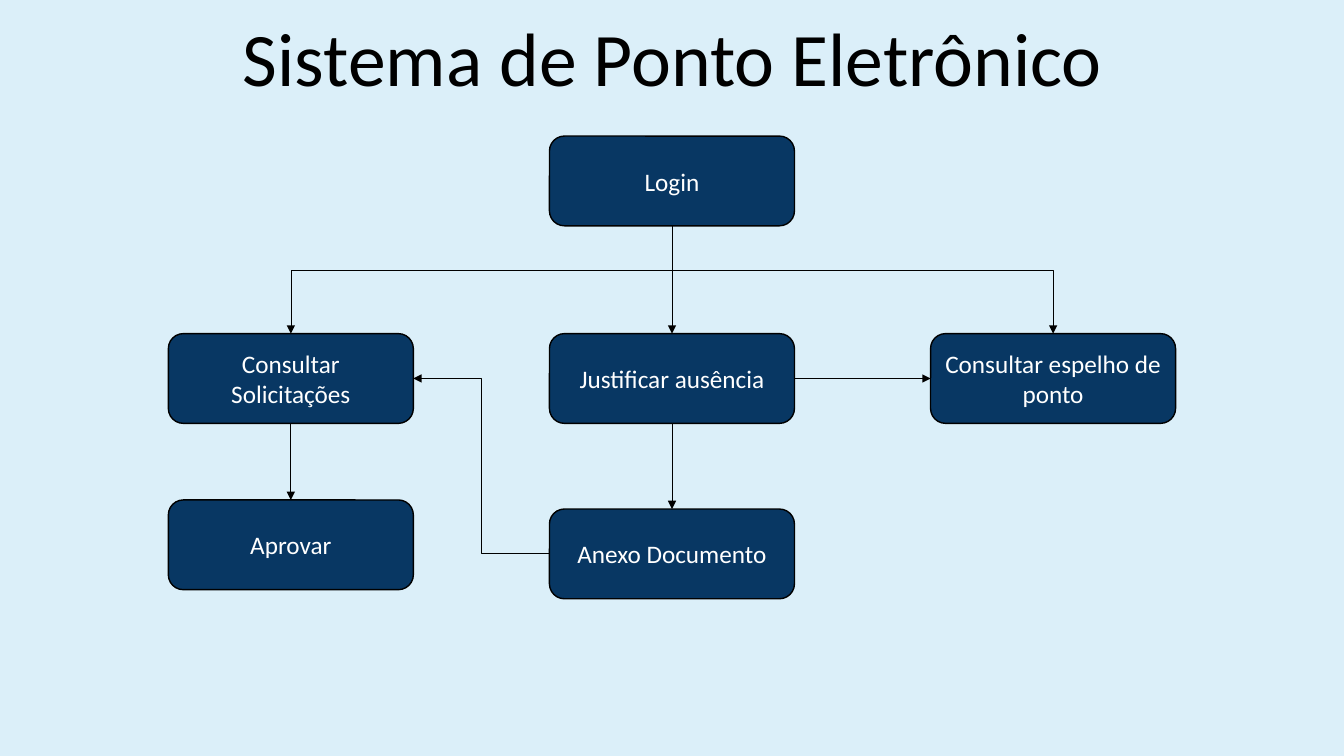
from pptx import Presentation
from pptx.dml.color import RGBColor
from pptx.enum.shapes import MSO_CONNECTOR as Link, MSO_SHAPE as Shape
from pptx.enum.text import MSO_ANCHOR as Anchor, MSO_AUTO_SIZE as AutoSize, PP_ALIGN as Align
from pptx.oxml.ns import qn
from pptx.util import Inches, Pt
from lxml import etree

COLORS = {"sky": "DBEFF9", "navy": "083763", "black": "000000", "white": "FFFFFF"}
TOP, LEFT, BOTTOM, RIGHT = range(4)


def write(frame, text, size, color, anchor, spacing=1.0):
    frame.word_wrap = True
    frame.auto_size = AutoSize.NONE
    frame.vertical_anchor = anchor
    paragraph = frame.paragraphs[0]
    paragraph.alignment = Align.CENTER
    paragraph.line_spacing = spacing
    run = paragraph.add_run()
    run.text = text
    run.font.name = "Calibri"
    run.font.size = Pt(size)
    run.font.color.rgb = RGBColor.from_string(COLORS[color])


def add_arrow(kind, start, end):
    arrow = slide.shapes.add_connector(kind, *(Inches(v) for v in (*start, *end)))
    arrow.line.width = Pt(0.5)
    arrow.line.color.rgb = RGBColor.from_string(COLORS["black"])
    etree.SubElement(arrow.line._get_or_add_ln(), qn("a:tailEnd"), type="triangle")
    etree.SubElement(arrow._element.spPr, qn("a:effectLst"))
    return arrow


prs = Presentation()
prs.slide_width, prs.slide_height = Inches(13.33), Inches(7.5)
slide = prs.slides.add_slide(prs.slide_layouts[0])
slide.background.fill.solid()
slide.background.fill.fore_color.rgb = RGBColor.from_string(COLORS["sky"])

subtitle = slide.placeholders[1]._element
subtitle.getparent().remove(subtitle)
title = slide.shapes.title
title.left, title.top, title.width, title.height = (Inches(v) for v in (1.67, 0.18, 10, 0.89))
write(title.text_frame, "Sistema de Ponto Eletrônico", 54, "black", Anchor.BOTTOM, spacing=0.9)

step_width, step_height = 2.43, 0.89
columns = [1.67, 5.45, 9.23]
menu_top = 3.31
steps = {}
for text, column, top in [
    ("Login", 1, 1.35),
    ("Justificar ausência", 1, menu_top),
    ("Consultar espelho de ponto", 2, menu_top),
    ("Anexo Documento", 1, 5.05),
    ("Consultar Solicitações", 0, menu_top),
    ("Aprovar", 0, 4.96),
]:
    step = slide.shapes.add_shape(
        Shape.ROUNDED_RECTANGLE,
        Inches(columns[column]), Inches(top), Inches(step_width), Inches(step_height))
    step.shadow.inherit = False
    step.fill.solid()
    step.fill.fore_color.rgb = RGBColor.from_string(COLORS["navy"])
    step.line.color.rgb = RGBColor.from_string(COLORS["black"])
    step.line.width = Pt(1)
    write(step.text_frame, text, 18, "white", Anchor.MIDDLE)
    steps[text] = step

for kind, source, source_side, target, target_side in [
    (Link.STRAIGHT, "Login", BOTTOM, "Justificar ausência", TOP),
    (Link.STRAIGHT, "Justificar ausência", RIGHT, "Consultar espelho de ponto", LEFT),
    (Link.STRAIGHT, "Justificar ausência", BOTTOM, "Anexo Documento", TOP),
    (Link.ELBOW, "Anexo Documento", LEFT, "Consultar Solicitações", RIGHT),
    (Link.STRAIGHT, "Consultar Solicitações", BOTTOM, "Aprovar", TOP),
]:
    flow = add_arrow(kind, (0, 0), (1, 1))
    flow.begin_connect(steps[source], source_side)
    flow.end_connect(steps[target], target_side)

left_center, middle_center, right_center = (x + step_width / 2 for x in columns)
branch_y = 2.68
for start, end, rotation in [
    ((middle_center, branch_y), (right_center, menu_top), 0),
    ((left_center, menu_top), (middle_center, branch_y), 180),
]:
    branch = add_arrow(Link.ELBOW, start, end)
    properties = branch._element.spPr
    properties.find(qn("a:prstGeom")).set("prst", "bentConnector2")
    properties.find(qn("a:xfrm")).set("rot", str(rotation * 60000))

prs.save("out.pptx")
